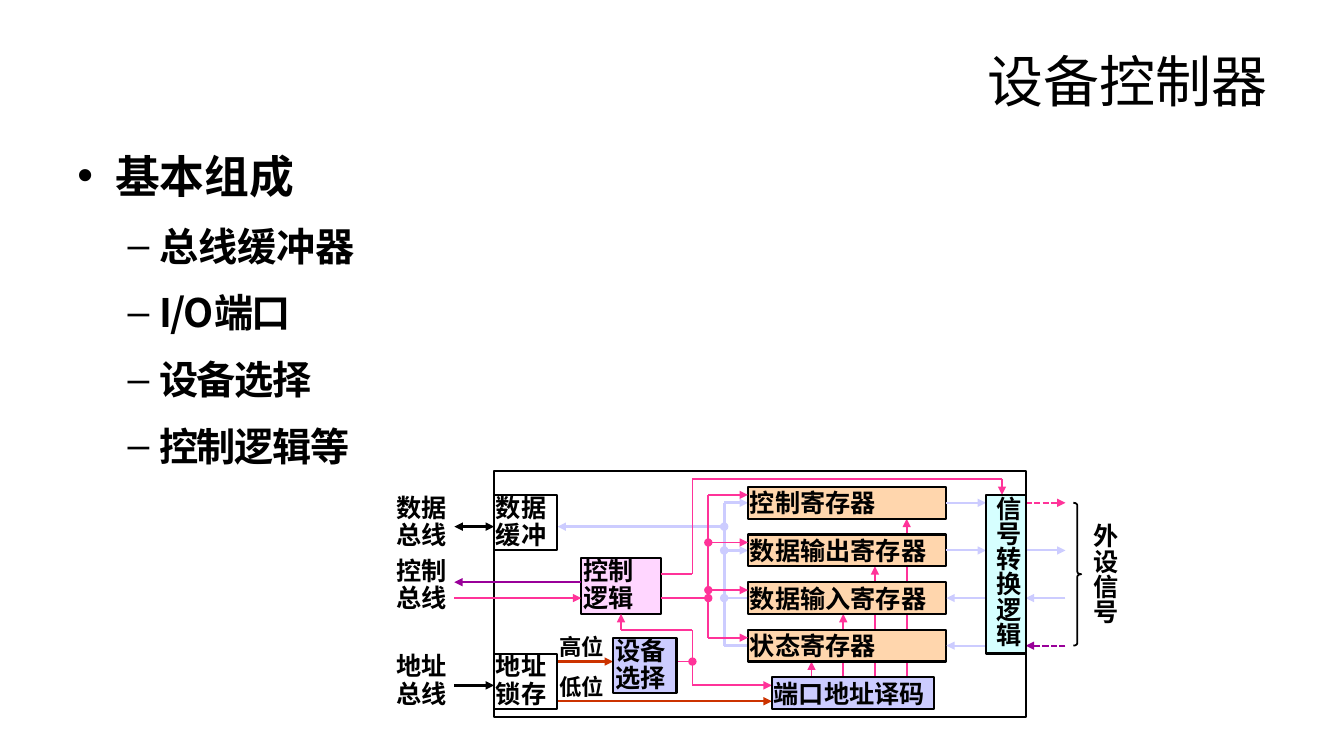
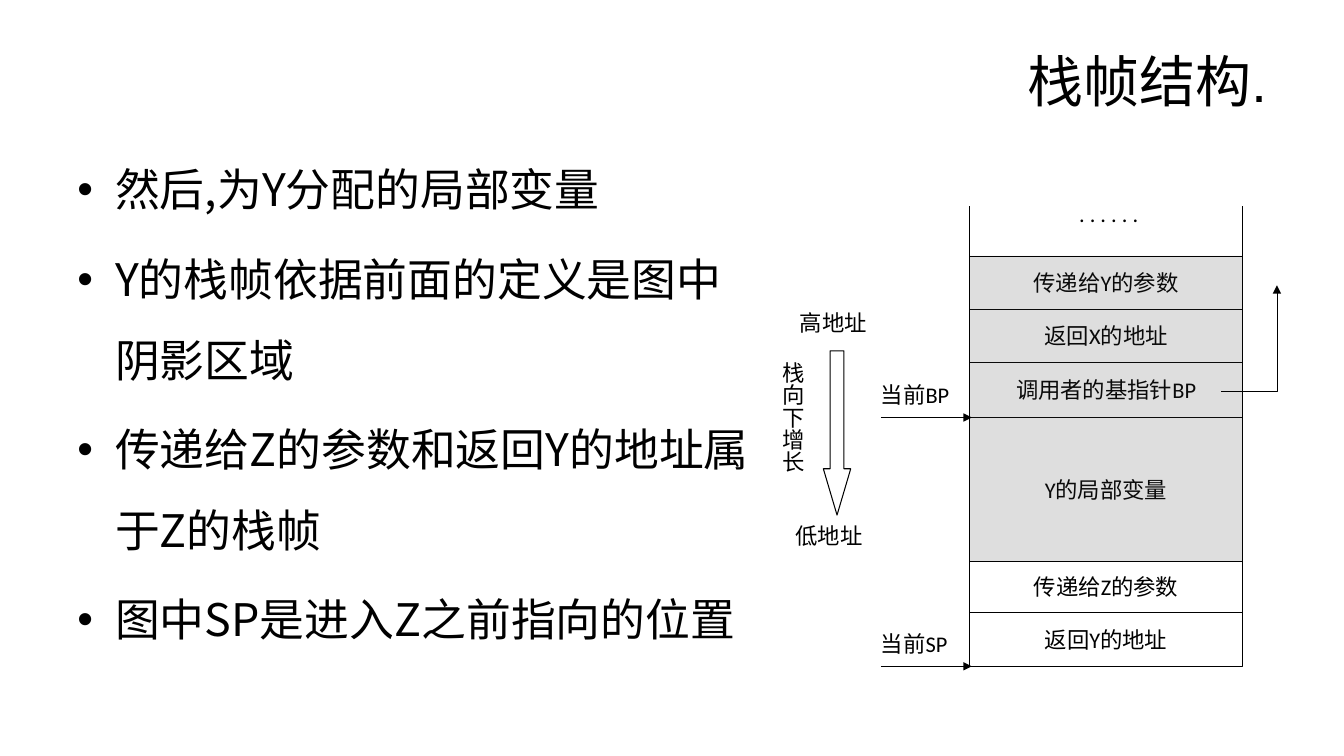
import pptx
import pptx.util
import pptx.dml.color
import pptx.enum.dml
import pptx.enum.shapes
import pptx.enum.text
import pptx.oxml.ns
from lxml import etree

Cm = pptx.util.Cm
Pt = pptx.util.Pt
SHAPE = pptx.enum.shapes.MSO_SHAPE
ALIGN = pptx.enum.text.PP_ALIGN
ANCHOR = pptx.enum.text.MSO_ANCHOR

CJK = "Noto Sans CJK SC"
BLACK, WHITE = "000000", "FFFFFF"
CONTROL, DATA, ADDRESS, REPLY = "FF3399", "CCCCFF", "CC3300", "990099"
REGISTER, LOGIC, CONVERTER, SHADE = "FFCC99", "FFCCFF", "CCFFFF", "404040"

UNIT, DIAGRAM_LEFT, DIAGRAM_TOP = 0.4, 12.45, 11.87
SMALL_INSETS = (0.05, 0.03)
STACK_LEFT, STACK_RIGHT = 24.43, 31.32


def rgb(color):
    return pptx.dml.color.RGBColor.from_string(color)


def add_xml(parent, tag, **attributes):
    return etree.SubElement(parent, pptx.oxml.ns.qn(tag), **attributes)


def grid(column, row):
    return DIAGRAM_LEFT + column * UNIT, DIAGRAM_TOP + row * UNIT


def grid_box(column, row, columns, rows):
    return *grid(column, row), columns * UNIT, rows * UNIT


def style_line(line, color, width, head=None, tail=None, dashed=False):
    line.color.rgb = rgb(color)
    line.width = Pt(width)
    if dashed:
        line.dash_style = pptx.enum.dml.MSO_LINE.SQUARE_DOT
    outline = line.color and line._get_or_add_ln()
    for tag, kind in (("a:headEnd", head), ("a:tailEnd", tail)):
        if kind:
            add_xml(outline, tag, type=kind)


def format_runs(paragraph, size, font=CJK, bold=False, spacing=None):
    for run in paragraph.runs:
        run.font.name = font
        run.font.size = Pt(size)
        run.font.bold = bold
        run.font.color.rgb = rgb(BLACK)
        properties = run.font._element
        add_xml(properties, "a:ea", typeface=CJK)
        if spacing:
            properties.set("spc", str(spacing))


def write(shape, text, size, font=CJK, bold=False, align=ALIGN.LEFT,
          insets=(0, 0), anchor=ANCHOR.MIDDLE, leading=None, vertical=False):
    frame = shape.text_frame
    frame.word_wrap = True
    frame.vertical_anchor = anchor
    frame.margin_left = frame.margin_right = Cm(insets[0])
    frame.margin_top = frame.margin_bottom = Cm(insets[1])
    if vertical:
        frame._txBody.bodyPr.set("vert", "eaVert")
    frame.text = text
    paragraph = frame.paragraphs[0]
    paragraph.alignment = align
    if leading:
        paragraph.line_spacing = leading
    format_runs(paragraph, size, font, bold)


def text_area(slide, box):
    return slide.shapes.add_textbox(*map(Cm, box))


def outline_shape(slide, box, width, kind=SHAPE.RECTANGLE, fill=None, opacity=100):
    shape = slide.shapes.add_shape(kind, *map(Cm, box))
    shape.shadow.inherit = False
    style_line(shape.line, BLACK, width)
    if fill:
        shape.fill.solid()
        shape.fill.fore_color.rgb = rgb(fill)
        if opacity < 100:
            color = shape.element.spPr.find(".//" + pptx.oxml.ns.qn("a:srgbClr"))
            add_xml(color, "a:alpha", val=str(opacity * 1000))
    else:
        shape.fill.background()
    return shape


def straight(slide, start, end, color, width, **ends):
    line = slide.shapes.add_connector(
        pptx.enum.shapes.MSO_CONNECTOR.STRAIGHT, *map(Cm, (*start, *end)))
    add_xml(line.element.spPr, "a:effectLst")
    style_line(line.line, color, width, **ends)


def wire(slide, points, color, width, head=None, tail=None, dashed=False):
    last = len(points) - 2
    for index, (start, end) in enumerate(zip(points, points[1:])):
        straight(slide, grid(*start), grid(*end), color, width, dashed=dashed,
                 head=head if index == 0 else None,
                 tail=tail if index == last else None)


def unit_box(slide, cells, text, fill, opacity=100, leading=0.9, vertical=False):
    shape = outline_shape(slide, grid_box(*cells), 1.5, fill=fill, opacity=opacity)
    write(shape, text, 18, bold=True, insets=SMALL_INSETS,
          leading=leading, vertical=vertical)


def wire_label(slide, cells, text, size=18, leading=0.9, vertical=False):
    write(text_area(slide, grid_box(*cells)), text, size, bold=True,
          insets=SMALL_INSETS, leading=leading, vertical=vertical)


def title(slide, text):
    write(text_area(slide, (1.7, 0.76, 30.48, 2.51)), text, 40, font="Arial",
          align=ALIGN.RIGHT, insets=(0.25, 0.13))


def bullets(slide, box, items, leading, bold=False):
    levels = (("•", 0.95, -0.95, 32), ("–", 2.06, -0.79, 28))
    frame = text_area(slide, box).text_frame
    frame.word_wrap = True
    for index, (level, text, spacing) in enumerate(items):
        mark, margin, indent, size = levels[level]
        paragraph = frame.paragraphs[0] if index == 0 else frame.add_paragraph()
        paragraph.text = text
        properties = paragraph._p.get_or_add_pPr()
        properties.set("marL", str(Cm(margin)))
        properties.set("indent", str(Cm(indent)))
        add_xml(properties, "a:buFont", typeface="Arial")
        add_xml(properties, "a:buChar", char=mark)
        paragraph.level = level
        paragraph.line_spacing = leading
        if index:
            paragraph.space_before = Pt(size * 0.2)
        format_runs(paragraph, size, bold=bold, spacing=spacing)


def registers(slide):
    names = ("控制寄存器", "数据输出寄存器", "数据输入寄存器", "状态寄存器")
    for index, name in enumerate(names):
        top = 1 + 3 * index
        for gap in range(index, len(names)):
            wire(slide, [(26 - 2 * index, 4 + 3 * gap), (26 - 2 * index, 3 + 3 * gap)],
                 CONTROL, 1.25, tail="triangle" if gap == index else None)
        unit_box(slide, (16, top, 12.5, 2), name, REGISTER, 80, leading=None)
        wire(slide, [(13.5, top + 0.5), (16, top + 0.5)], CONTROL, 1.25,
             head="oval" if index in (1, 2) else None, tail="triangle")
        port = [(28.5, top + 1), (31, top + 1)]
        signal = [(33.5, top + 1), (36, top + 1)]
        if index > 1:
            port.reverse()
            signal.reverse()
        wire(slide, port, DATA, 1.5, tail="triangle")
        wire(slide, signal, (CONTROL, DATA, DATA, REPLY)[index], 1.5,
             tail="triangle", dashed=index in (0, 3))


def data_paths(slide):
    for row, head, tail in ((2, None, "triangle"), (5, "oval", "triangle"),
                            (8, "oval", None), (11, None, None)):
        wire(slide, [(14.5, row), (16, row)], DATA, 2, head=head, tail=tail)
    wire(slide, [(14.5, 3.5), (4, 3.5)], DATA, 2, head="oval", tail="triangle")
    wire(slide, [(14.5, 2), (14.5, 11)], DATA, 2)


def control_paths(slide):
    for points, tail in (
            ([(12.5, 10), (12.5, 12)], "oval"),
            ([(12.5, 10), (8, 10), (8, 9)], "triangle"),
            ([(13.5, 10.5), (13.5, 1.5)], None),
            ([(10.5, 8), (13.5, 8)], "oval"),
            ([(10.5, 6.5), (12.5, 6.5), (12.5, 0.5), (32, 0.5), (32, 1.5)], "triangle"),
            ([(12.5, 12), (12.5, 13.5), (17.5, 13.5)], "triangle"),
            ([(11.5, 12), (12.5, 12)], None)):
        wire(slide, points, CONTROL, 1.25, tail=tail)


def bus_paths(slide):
    for start, end, color, width, head in (
            ((-2.5, 13.5), (0, 13.5), BLACK, 2, None),
            ((-2.5, 3.5), (0, 3.5), BLACK, 2, "triangle"),
            ((-2.5, 8), (5.5, 8), CONTROL, 1.5, None),
            ((5.5, 7), (-2.5, 7), REPLY, 1.5, None),
            ((4, 14.5), (17.5, 14.5), ADDRESS, 1.5, None),
            ((4, 12), (7.5, 12), ADDRESS, 1.5, None)):
        wire(slide, [start, end], color, width, head=head, tail="triangle")


def controller_diagram(slide):
    data_paths(slide)
    registers(slide)
    unit_box(slide, (5.5, 5.5, 5, 3.5), "控制逻辑", LOGIC, 80)
    control_paths(slide)
    unit_box(slide, (31, 1.5, 2.5, 10), "信号转换逻辑", CONVERTER, 80, vertical=True)
    outline_shape(slide, grid_box(0, 0, 33.5, 15.5), 1.5)
    bus_paths(slide)
    for row, name in ((1.5, "数据总线"), (5.5, "控制总线"), (11.5, "地址总线")):
        wire_label(slide, (-6.25, row, 3.75, 3.5), name)
    for column, row, name, fill in ((0, 1.5, "数据缓冲", WHITE),
                                    (0, 11.5, "地址锁存", WHITE),
                                    (7.5, 10.5, "设备选择", DATA)):
        unit_box(slide, (column, row, 4, 3.5), name, fill)
    unit_box(slide, (17.5, 13, 10.25, 2), "端口地址译码", DATA, leading=None)
    for row, name in ((10.5, "高位"), (13, "低位")):
        wire_label(slide, (4, row, 3.5, 1.35), name, size=16)
    brace = outline_shape(slide, grid_box(36.5, 2, 0.5, 9), 1.25, SHAPE.RIGHT_BRACE)
    brace.adjustments[0] = 0.31
    wire_label(slide, (37.5, 3.25, 2, 6.75), "外设信号", leading=None, vertical=True)


def stack_label(slide, box, text, **style):
    write(text_area(slide, box), text, 16, font="Calibri", **style)


def stack_cells(slide):
    width = STACK_RIGHT - STACK_LEFT
    names = ("传递给Y的参数", "返回X的地址", "调用者的基指针BP",
             "Y的局部变量", "传递给Z的参数", "返回Y的地址")
    edges = (6.45, 7.8, 9.13, 10.52, 14.15, 15.42, 16.79)
    for name, top, bottom in zip(names, edges, edges[1:]):
        cell = outline_shape(slide, (STACK_LEFT, top, width, bottom - top), 0.5)
        write(cell, name, 16, font="Calibri", align=ALIGN.CENTER)
    for x in (STACK_LEFT, STACK_RIGHT):
        straight(slide, (x, 6.45), (x, 5.2), BLACK, 0.5)
    stack_label(slide, (24.79, 4.75, 6.3, 1.27), ". . . . . .", align=ALIGN.CENTER)
    outline_shape(slide, (STACK_LEFT, edges[0], width, edges[4] - edges[0]), 0.5,
                  fill=SHADE, opacity=17)
    for name, pointer in (("当前BP", edges[3]), ("当前SP", edges[6])):
        straight(slide, (22.2, pointer), (24.49, pointer), BLACK, 0.5, tail="triangle")
        stack_label(slide, (22.2, pointer - 1.35, 2.3, 1.57), name)


def caller_link(slide):
    builder = slide.shapes.build_freeform(Cm(30.78), Cm(9.86))
    builder.add_line_segments([(Cm(32.18), Cm(9.86)), (Cm(32.18), Cm(7.19))], close=False)
    link = builder.convert_to_shape()
    link.shadow.inherit = False
    link.fill.background()
    style_line(link.line, BLACK, 0.5, tail="triangle")


def growth_direction(slide):
    arrow = outline_shape(slide, (20.75, 8.84, 0.69, 4.14), 0.75, SHAPE.DOWN_ARROW)
    arrow.adjustments[0] = 0.5
    arrow.adjustments[1] = 1.69
    for left, top, name in ((20.02, 7.8, "高地址"), (19.91, 13.16, "低地址")):
        stack_label(slide, (left, top, 1.96, 0.99), name,
                    align=ALIGN.CENTER, anchor=ANCHOR.TOP)
    stack_label(slide, (19.48, 9.12, 0.84, 3.61), "栈向下增长",
                anchor=ANCHOR.TOP, vertical=True)


def main():
    deck = pptx.Presentation()
    deck.slide_width, deck.slide_height = Cm(33.87), Cm(19.05)
    controller, stack = (deck.slides.add_slide(deck.slide_layouts[6]) for _ in range(2))

    title(controller, "设备控制器")
    controller_diagram(controller)
    bullets(controller, (1.7, 3.28, 30.48, 13.92),
            ((0, "基本组成", None), (1, "总线缓冲器", None), (1, "I/O端口", -100),
             (1, "设备选择", -100), (1, "控制逻辑等", -100)), 1.25, bold=True)

    title(stack, "栈帧结构.")
    bullets(stack, (1.7, 3.28, 17.81, 15.44),
            [(0, text, None) for text in (
                "然后,为Y分配的局部变量", "Y的栈帧依据前面的定义是图中阴影区域",
                "传递给Z的参数和返回Y的地址属于Z的栈帧",
                "图中SP是进入Z之前指向的位置")], 1.5)
    stack_cells(stack)
    caller_link(stack)
    growth_direction(stack)
    deck.save("out.pptx")


if __name__ == "__main__":
    main()
